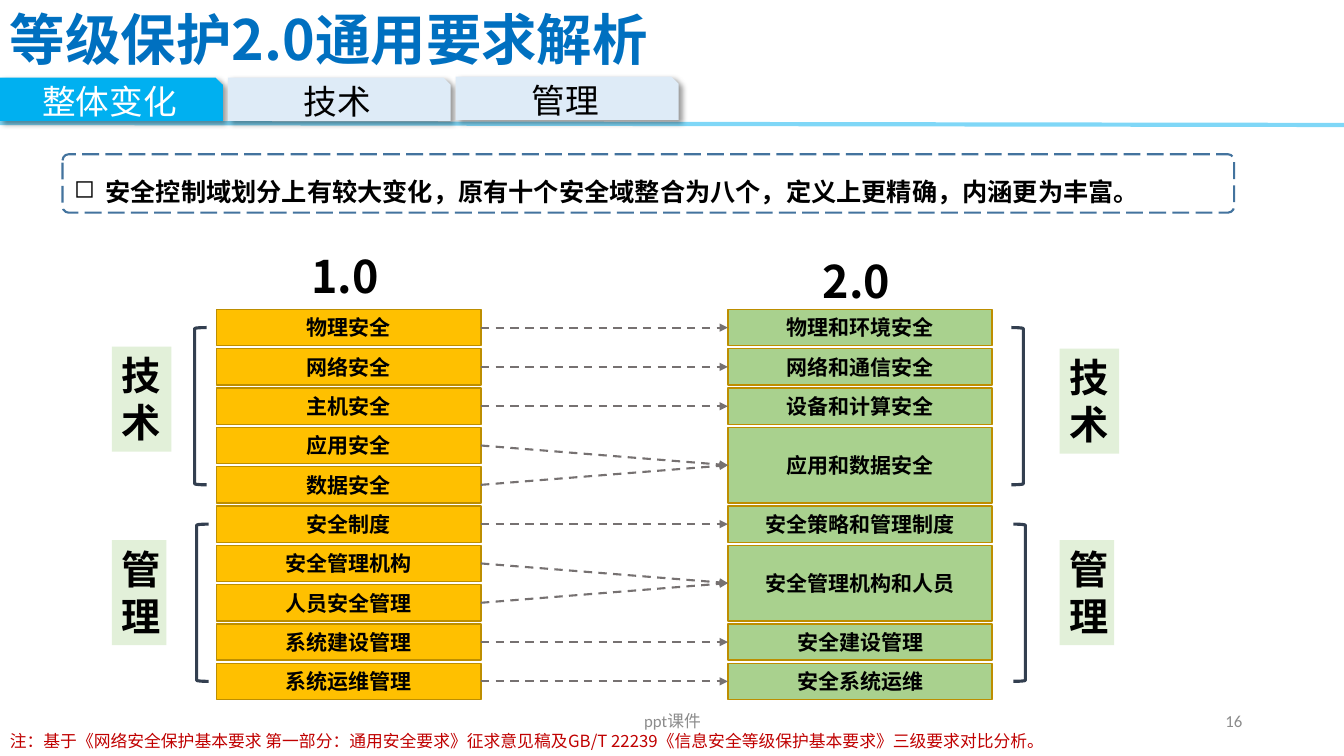
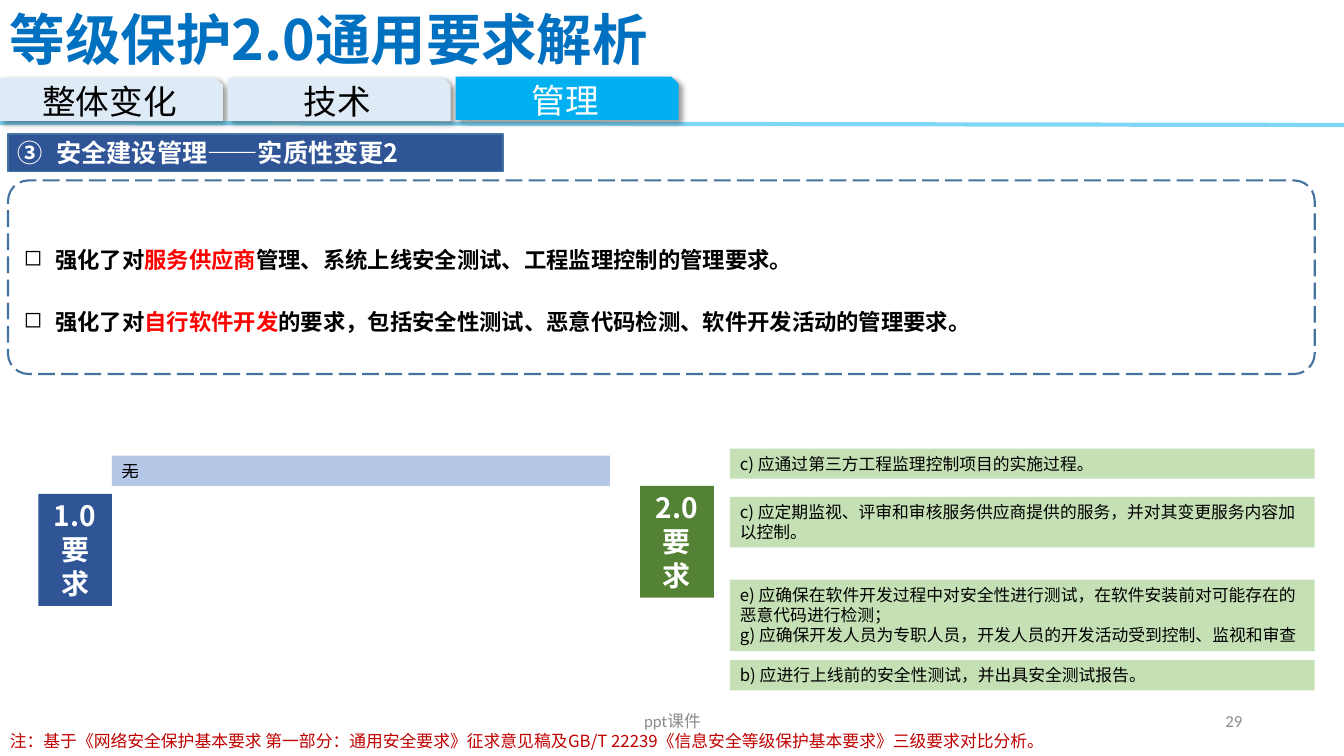
import pptx
import pptx.dml.color
import pptx.enum.dml
import pptx.enum.shapes
import pptx.enum.text
import pptx.oxml
import pptx.oxml.ns
import pptx.util

Inches = pptx.util.Inches
Pt = pptx.util.Pt
qn = pptx.oxml.ns.qn
Shape = pptx.enum.shapes.MSO_SHAPE
Dash = pptx.enum.dml.MSO_LINE
Align = pptx.enum.text.PP_ALIGN
Anchor = pptx.enum.text.MSO_ANCHOR

FONT = "Noto Sans CJK SC"
FOOTER_FONT = "Calibri"
BLACK, WHITE, RED = "000000", "FFFFFF", "FF0000"
CYAN, TITLE_BLUE, NAVY = "00B0F0", "0070C0", "2F5597"
PALE_BLUE, PERIWINKLE, OUTLINE = "DEEBF7", "B4C7E7", "43739E"
AMBER, AMBER_EDGE = "FFC000", "BD8E00"
LEAF, MINT, PALE_GREEN, DARK_GREEN = "A9D18E", "C5E0B4", "E2F0D9", "548235"
ARROW_GREY, BRACKET_SLATE, FOOTER_GREY, NOTE_RED = "767171", "333F50", "8C8C8C", "C00000"

TITLE = "等级保护2.0通用要求解析"
TABS = ["整体变化", "技术", "管理"]
NOTE = ("注：基于《网络安全保护基本要求 第一部分：通用安全要求》征求意见稿及"
        "GB/T 22239《信息安全等级保护基本要求》三级要求对比分析。")

ROW_TOP, ROW_PITCH, ROW_HEIGHT = 3.07, 0.39, 0.36
COLUMN_WIDTH, OLD_LEFT, NEW_LEFT = 2.62, 2.15, 7.22
OLD_DOMAINS = ["物理安全", "网络安全", "主机安全", "应用安全", "数据安全", "安全制度",
               "安全管理机构", "人员安全管理", "系统建设管理", "系统运维管理"]
# Each new domain with the number of old domains it absorbs.
NEW_DOMAINS = [("物理和环境安全", 1), ("网络和通信安全", 1), ("设备和计算安全", 1),
               ("应用和数据安全", 2), ("安全策略和管理制度", 1), ("安全管理机构和人员", 2),
               ("安全建设管理", 1), ("安全系统运维", 1)]


def rgb(value):
    return pptx.dml.color.RGBColor.from_string(value)


def add_xml(parent, tag, **attributes):
    child = pptx.oxml.parse_xml(f"<a:{tag} {pptx.oxml.ns.nsdecls('a')}/>")
    for name, value in attributes.items():
        child.set(name, str(value))
    parent.append(child)
    return child


def style_line(line, color, width, dash=None):
    line.color.rgb = rgb(color)
    line.width = Pt(width)
    if dash:
        line.dash_style = dash


def write(box, paragraphs, size, color=BLACK, bold=False, align=Align.LEFT,
          anchor=Anchor.TOP, font=FONT):
    """Fill a box; a paragraph is a string or a list of (text, color) spans."""
    frame = box.text_frame
    frame.word_wrap = True
    frame.vertical_anchor = anchor
    for index, content in enumerate(paragraphs):
        para = frame.paragraphs[0] if index == 0 else frame.add_paragraph()
        para.alignment = align
        spans = [(content, color)] if isinstance(content, str) else content
        for text, span_color in spans:
            span = para.add_run()
            span.text = text
            span.font.size = Pt(size)
            span.font.bold = bold
            span.font.color.rgb = rgb(span_color)
            span.font.name = font
            add_xml(span.font._element, "ea", typeface=FONT)


def add_text(page, place, paragraphs, size, **style):
    box = page.shapes.add_textbox(*map(Inches, place))
    write(box, paragraphs, size, **style)
    return box


def add_box(page, place, fill=None, outline=None, kind=Shape.RECTANGLE):
    """Add a preset shape; outline is (color, width[, dash])."""
    box = page.shapes.add_shape(kind, *map(Inches, place))
    box.shadow.inherit = False
    if fill:
        box.fill.solid()
        box.fill.fore_color.rgb = rgb(fill)
    else:
        box.fill.background()
    if outline:
        style_line(box.line, *outline)
    else:
        box.line.fill.background()
    return box


def add_line(page, start, end, color, width, dash=None):
    line = page.shapes.add_connector(pptx.enum.shapes.MSO_CONNECTOR.STRAIGHT,
                                     *map(Inches, (*start, *end)))
    style_line(line.line, color, width, dash)
    add_xml(line._element.spPr, "effectLst")
    return line


def set_bullet(para, indent, tag, **attributes):
    properties = para._p.get_or_add_pPr()
    properties.set("marL", str(Inches(indent)))
    properties.set("indent", str(-Inches(indent)))
    add_xml(properties, tag, **attributes)


def add_tab(page, left, top, label, active):
    tab = add_box(page, (left, top, 2.21, 0.43), CYAN if active else PALE_BLUE,
                  kind=Shape.SNIP_1_RECTANGLE)
    effects = tab._element.spPr.find(qn("a:effectLst"))
    shadow = add_xml(effects, "outerShdw", blurRad=Pt(4), dist=Pt(3),
                     dir=45 * 60000, algn="tl", rotWithShape=0)
    add_xml(add_xml(shadow, "srgbClr", val=BLACK), "alpha", val=40000)
    write(tab, [label], 24, WHITE if active else BLACK,
          align=Align.CENTER, anchor=Anchor.MIDDLE)


def add_page(deck, active_tab, number):
    """Add a page with the shared title, tabs, note and footer."""
    page = deck.slides.add_slide(deck.slide_layouts[6])
    rule = add_line(page, (0, 1.22), (13.33, 1.24), CYAN, 3)
    add_xml(next(rule._element.iter(qn("a:srgbClr"))), "alpha", val=50000)
    add_text(page, (0, 0.01, 8.61, 0.75), [TITLE], 39.6, color=TITLE_BLUE,
             bold=True, anchor=Anchor.MIDDLE)
    for index, label in enumerate(TABS):
        add_tab(page, 2.26 * index, 0.76 if index == 2 else 0.77, label, label == active_tab)
    add_text(page, (0, 7.2, 12, 0.3), [NOTE], 12, color=NOTE_RED)
    for left, width, text, align in [(9.42, 3, str(number), Align.RIGHT),
                                     (4.42, 4.5, "ppt课件", Align.CENTER)]:
        add_text(page, (left, 6.95, width, 0.4), [text], 12, color=FOOTER_GREY,
                 align=align, anchor=Anchor.MIDDLE, font=FOOTER_FONT)
    return page


def add_key_points(page, place, points, size, spacing):
    """Add the dashed frame with square-bulleted points."""
    box = add_box(page, place, outline=(OUTLINE, 1.5, Dash.LONG_DASH),
                  kind=Shape.ROUNDED_RECTANGLE)
    box.adjustments[0] = 0.106
    write(box, points, size, bold=True, align=Align.JUSTIFY, anchor=Anchor.MIDDLE)
    for para in box.text_frame.paragraphs:
        set_bullet(para, 0.31, "buChar", char="◻")
        para.line_spacing = spacing
        para.space_after = Pt(6)


def add_label(page, place, fill, paragraphs, size, **style):
    box = add_box(page, place, fill)
    write(box, paragraphs, size, **style)
    return box


def add_domain(page, left, row, span, name, fill):
    """Add a domain box over span rows and return its middle height."""
    top = ROW_TOP + row * ROW_PITCH
    height = ROW_HEIGHT + (span - 1) * ROW_PITCH
    box = add_box(page, (left, top, COLUMN_WIDTH, height), fill, (AMBER_EDGE, 1))
    write(box, [name], 15, bold=True, align=Align.CENTER, anchor=Anchor.MIDDLE)
    return top + height / 2


def add_mapping(page):
    old_middles = [add_domain(page, OLD_LEFT, row, 1, name, AMBER)
                   for row, name in enumerate(OLD_DOMAINS)]
    row = 0
    for name, span in NEW_DOMAINS:
        new_middle = add_domain(page, NEW_LEFT, row, span, name, LEAF)
        for old_middle in old_middles[row:row + span]:
            arrow = add_line(page, (OLD_LEFT + COLUMN_WIDTH, old_middle),
                             (NEW_LEFT, new_middle), ARROW_GREY, 1.5, Dash.DASH)
            add_xml(arrow.line._get_or_add_ln(), "tailEnd", type="triangle")
        row += span


def build_overview(deck):
    page = add_page(deck, "整体变化", 16)
    add_key_points(page, (0.62, 1.53, 11.62, 0.58),
                   ["安全控制域划分上有较大变化，原有十个安全域整合为八个，定义上更精确，内涵更为丰富。"],
                   18, 1.5)
    add_mapping(page)
    sides = [(Shape.LEFT_BRACKET, 1.93, 1.11, 3.44), (Shape.RIGHT_BRACKET, 10.03, 10.51, 3.46)]
    for kind, bracket_left, label_left, technical_top in sides:
        groups = [("技术", 0, 3.25, technical_top, 0.59), ("管理", 0.02, 5.2, 5.36, 0.54)]
        for name, shift, bracket_top, label_top, width in groups:
            add_box(page, (bracket_left + shift, bracket_top, 0.12, 1.56),
                    outline=(BRACKET_SLATE, 2.25), kind=kind)
            add_label(page, (label_left, label_top, width, 1.04), PALE_GREEN,
                      [name], 28, bold=True)
    for left, top, version in [(2.99, 2.42, "1.0"), (8.06, 2.47, "2.0")]:
        add_text(page, (left, top, 0.95, 0.64), [version], 32, bold=True)


def build_construction_change(deck):
    page = add_page(deck, "管理", 29)
    heading = add_box(page, (0.08, 1.33, 4.91, 0.37), NAVY, (OUTLINE, 1))
    write(heading, ["安全建设管理——实质性变更2"], 18, WHITE, bold=True,
          align=Align.JUSTIFY, anchor=Anchor.MIDDLE)
    set_bullet(heading.text_frame.paragraphs[0], 0.38, "buAutoNum",
               type="circleNumDbPlain", startAt=3)
    add_key_points(page, (0.08, 1.79, 12.96, 1.92), [
        [("强化了对", BLACK), ("服务供应商", RED),
         ("管理、系统上线安全测试、工程监理控制的管理要求。", BLACK)],
        [("强化了对", BLACK), ("自行软件开发", RED),
         ("的要求，包括安全性测试、恶意代码检测、软件开发活动的管理要求。", BLACK)],
    ], 16, 2.0)
    for left, top, fill, version in [(0.38, 4.9, NAVY, "1.0"), (6.35, 4.82, DARK_GREEN, "2.0")]:
        add_label(page, (left, top, 0.73, 1.11), fill, [version, "要求"], 20,
                  color=WHITE, bold=True, align=Align.CENTER)
    removed = add_label(page, (1.11, 4.52, 4.94, 0.3), PERIWINKLE, ["无"], 12)
    removed.text_frame.paragraphs[0].runs[0].font._element.set("strike", "sngStrike")
    requirements = [
        (4.45, 0.3, ["c) 应通过第三方工程监理控制项目的实施过程。"]),
        (4.93, 0.5, ["c) 应定期监视、评审和审核服务供应商提供的服务，并对其变更服务内容加以控制。"]),
        (5.75, 0.71, ["e) 应确保在软件开发过程中对安全性进行测试，在软件安装前对可能存在的恶意代码进行检测；",
                      "g) 应确保开发人员为专职人员，开发人员的开发活动受到控制、监视和审查"]),
        (6.55, 0.3, ["b) 应进行上线前的安全性测试，并出具安全测试报告。"]),
    ]
    for top, height, paragraphs in requirements:
        add_label(page, (7.24, top, 5.8, height), MINT, paragraphs, 12)


def main():
    deck = pptx.Presentation()
    deck.slide_width = Inches(13.33)
    deck.slide_height = Inches(7.5)
    build_overview(deck)
    build_construction_change(deck)
    deck.save("out.pptx")


if __name__ == "__main__":
    main()
